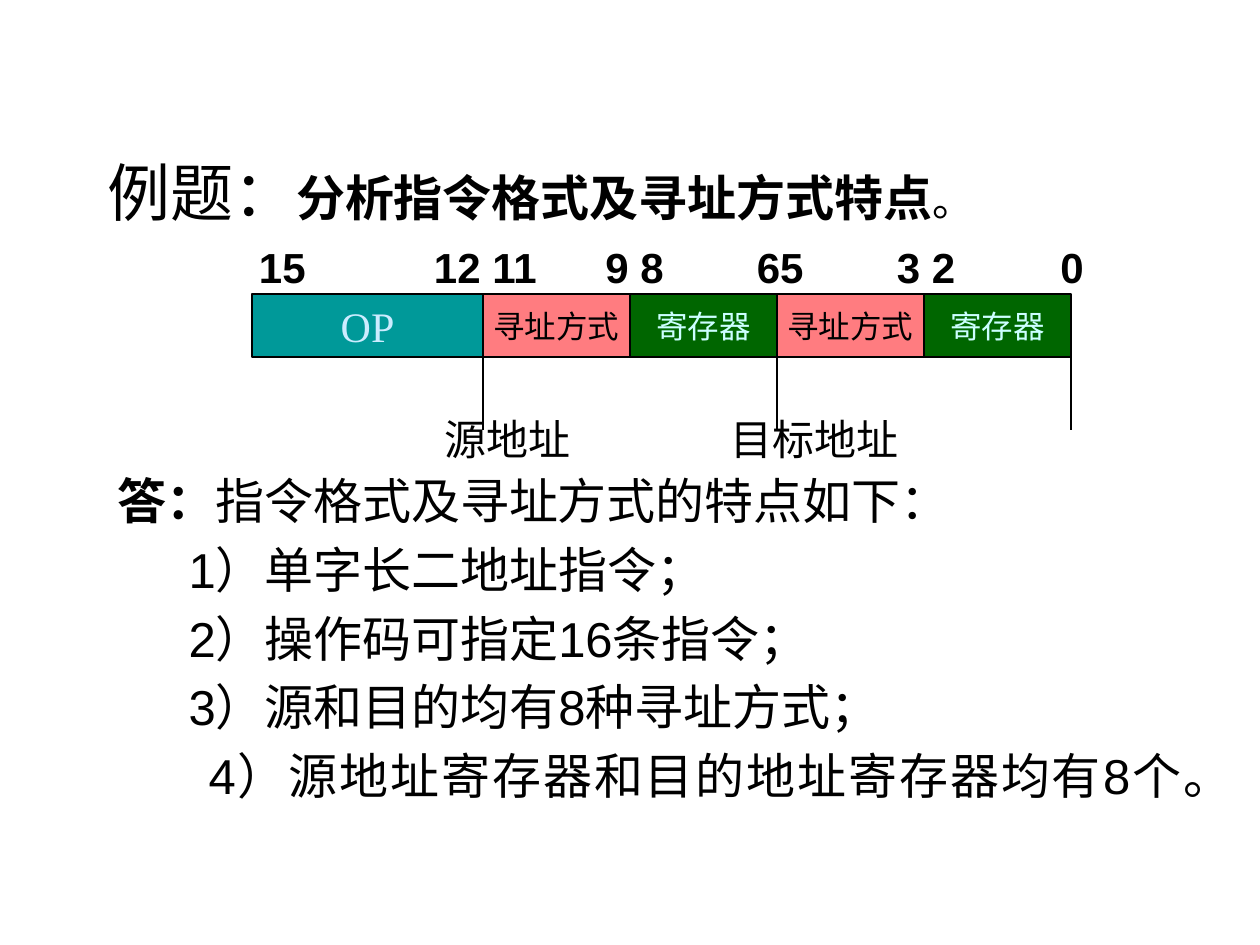
"""Build a slide that analyses an instruction format and its addressing modes."""
from lxml import etree
from pptx import Presentation
from pptx.dml.color import RGBColor
from pptx.enum.shapes import MSO_CONNECTOR, MSO_SHAPE
from pptx.enum.text import MSO_ANCHOR, MSO_AUTO_SIZE, PP_ALIGN
from pptx.oxml.ns import qn
from pptx.util import Pt

RECTANGLE, STRAIGHT = MSO_SHAPE.RECTANGLE, MSO_CONNECTOR.STRAIGHT
LEFT, CENTER, JUSTIFY = PP_ALIGN.LEFT, PP_ALIGN.CENTER, PP_ALIGN.JUSTIFY
TOP, MIDDLE = MSO_ANCHOR.TOP, MSO_ANCHOR.MIDDLE
NO_AUTOFIT = MSO_AUTO_SIZE.NONE

COLORS = {
    "black": "000000",
    "opcode": "009999",
    "opcode_text": "CCECFF",
    "mode": "FF7C80",
    "register": "006600",
    "register_text": "CCFFFF",
}


def color(name):
    return RGBColor.from_string(COLORS[name])


def format_run(run, size, font_name, color_name, bold=False):
    run.font.size = Pt(size)
    run.font.name = font_name
    run.font.bold = bold
    run.font.color.rgb = color(color_name)


presentation = Presentation()
presentation.slide_width, presentation.slide_height = Pt(720), Pt(540)
slide = presentation.slides.add_slide(presentation.slide_layouts[1])
title = slide.shapes.title
title.element.getparent().remove(title.element)

body = slide.placeholders[1]
body.left, body.top, body.width, body.height = Pt(54), Pt(84.24), Pt(629.28), Pt(396)
text_frame = body.text_frame
text_frame.word_wrap = True
text_frame.auto_size = NO_AUTOFIT
text_frame.vertical_anchor = TOP

items = [
    ("1）单字长二地址指令；", 19.5),
    ("2）操作码可指定16条指令；", 19.5),
    ("3）源和目的均有8种寻址方式；", 19.5),
    ("4）源地址寄存器和目的地址寄存器均有8个。", 31),
]
lines = [
    ([("例题：", 36, False), ("分析指令格式及寻址方式特点", 28, True), ("。", 24, False)],
     LEFT, -27, 0),
    ([("答：", 28, True), ("指令格式及寻址方式的特点如下：", 28, False)], LEFT, -21, 138),
]
lines += [([(text, 28, False)], JUSTIFY, indent, 5.6) for text, indent in items]

for index, (runs, alignment, indent, space) in enumerate(lines):
    paragraph = text_frame.paragraphs[0] if index == 0 else text_frame.add_paragraph()
    paragraph.alignment = alignment
    properties = paragraph._p.get_or_add_pPr()
    properties.set("marL", str(Pt(27)))
    properties.set("indent", str(Pt(indent)))
    etree.SubElement(properties, qn("a:buNone"))
    paragraph.space_before = Pt(space)
    for text, size, bold in runs:
        run = paragraph.add_run()
        run.text = text
        format_run(run, size, "Arial", "black", bold)

field_top, field_height = 168, 36
opcode_left, opcode_width, field_width = 144, 132, 84
fields_left = opcode_left + opcode_width
mode = ("寻址方式", 18, "mode", "black")
register = ("寄存器", 18, "register", "register_text")
fields = [(opcode_left, opcode_width, "OP", 24, "opcode", "opcode_text")]
for index, field in enumerate([mode, register] * 2):
    fields.append((fields_left + index * field_width, field_width, *field))

diagram = slide.shapes.add_group_shape()
for left, width, text, size, fill, text_color in fields:
    shape = diagram.shapes.add_shape(
        RECTANGLE, Pt(left), Pt(field_top), Pt(width), Pt(field_height))
    shape.shadow.inherit = False
    shape.fill.solid()
    shape.fill.fore_color.rgb = color(fill)
    shape.line.color.rgb = color("black")
    shape.line.width = Pt(0.75)
    shape.text_frame.text = text
    shape.text_frame.word_wrap = False
    shape.text_frame.vertical_anchor = MIDDLE
    paragraph = shape.text_frame.paragraphs[0]
    paragraph.alignment = CENTER
    format_run(paragraph.runs[0], size, "Times New Roman", text_color)

divider_top = field_top + field_height
for index in range(3):
    x = fields_left + index * 2 * field_width
    divider = diagram.shapes.add_connector(
        STRAIGHT, Pt(x), Pt(divider_top), Pt(x), Pt(divider_top + 42))
    divider.line.color.rgb = color("black")
    divider.line.width = Pt(0.75)
    etree.SubElement(divider._element.spPr, qn("a:effectLst"))

bits_top, addresses_top = 138.3, 236.4
labels = [
    ("15", 148, bits_top, True),
    ("12 11", 248, bits_top, True),
    ("9 8", 346, bits_top, True),
    ("65", 432.5, bits_top, True),
    ("3 2", 512.5, bits_top, True),
    ("0", 606, bits_top, True),
    ("源地址", 254, addresses_top, False),
    ("目标地址", 417.5, addresses_top, False),
]
for text, left, top, bold in labels:
    label = slide.shapes.add_textbox(Pt(left), Pt(top), Pt(100), Pt(30))
    frame = label.text_frame
    frame.margin_left = frame.margin_right = frame.margin_top = frame.margin_bottom = 0
    frame.word_wrap = True
    frame.text = text
    format_run(frame.paragraphs[0].runs[0], 24, "Arial", "black", bold)

presentation.save("out.pptx")
